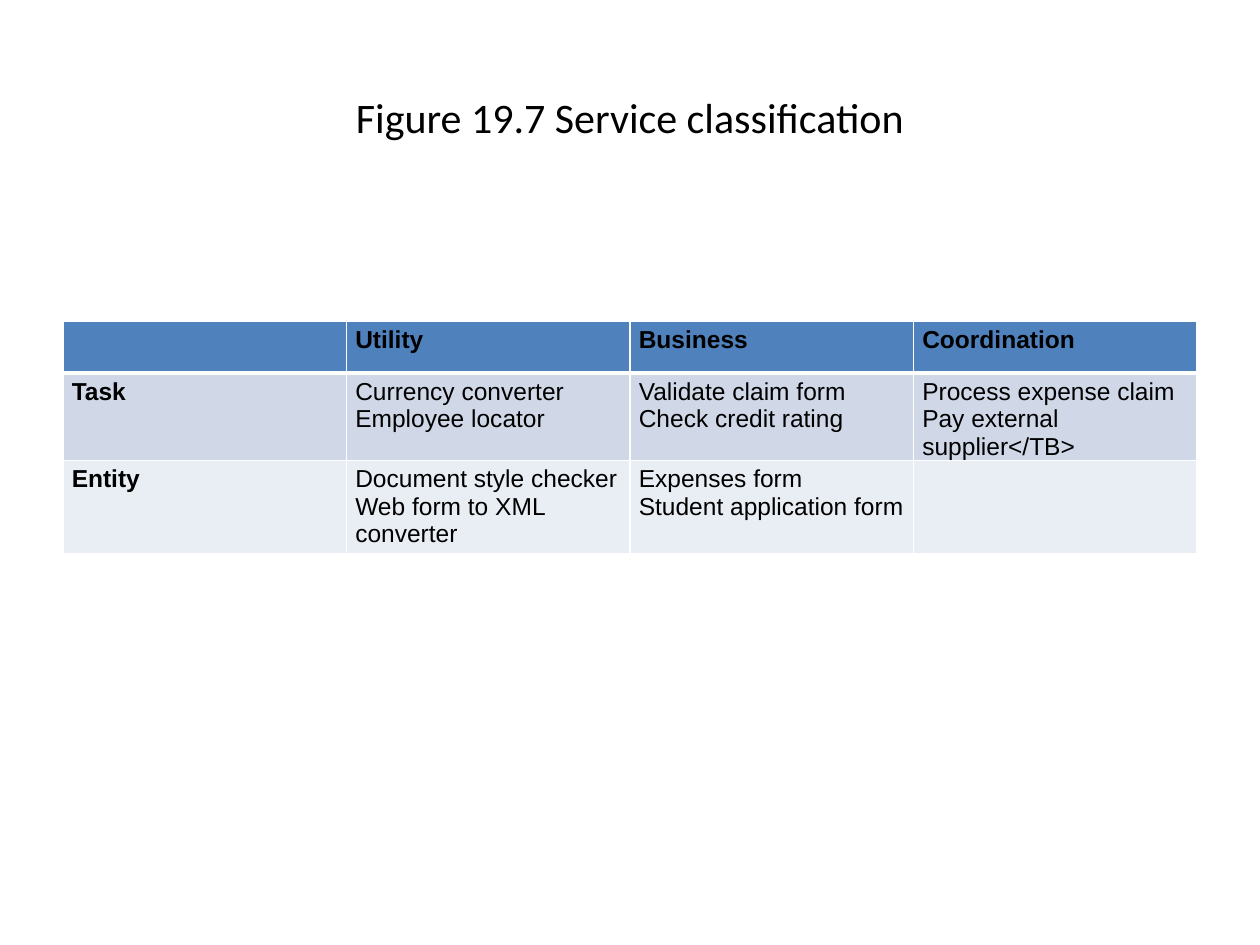
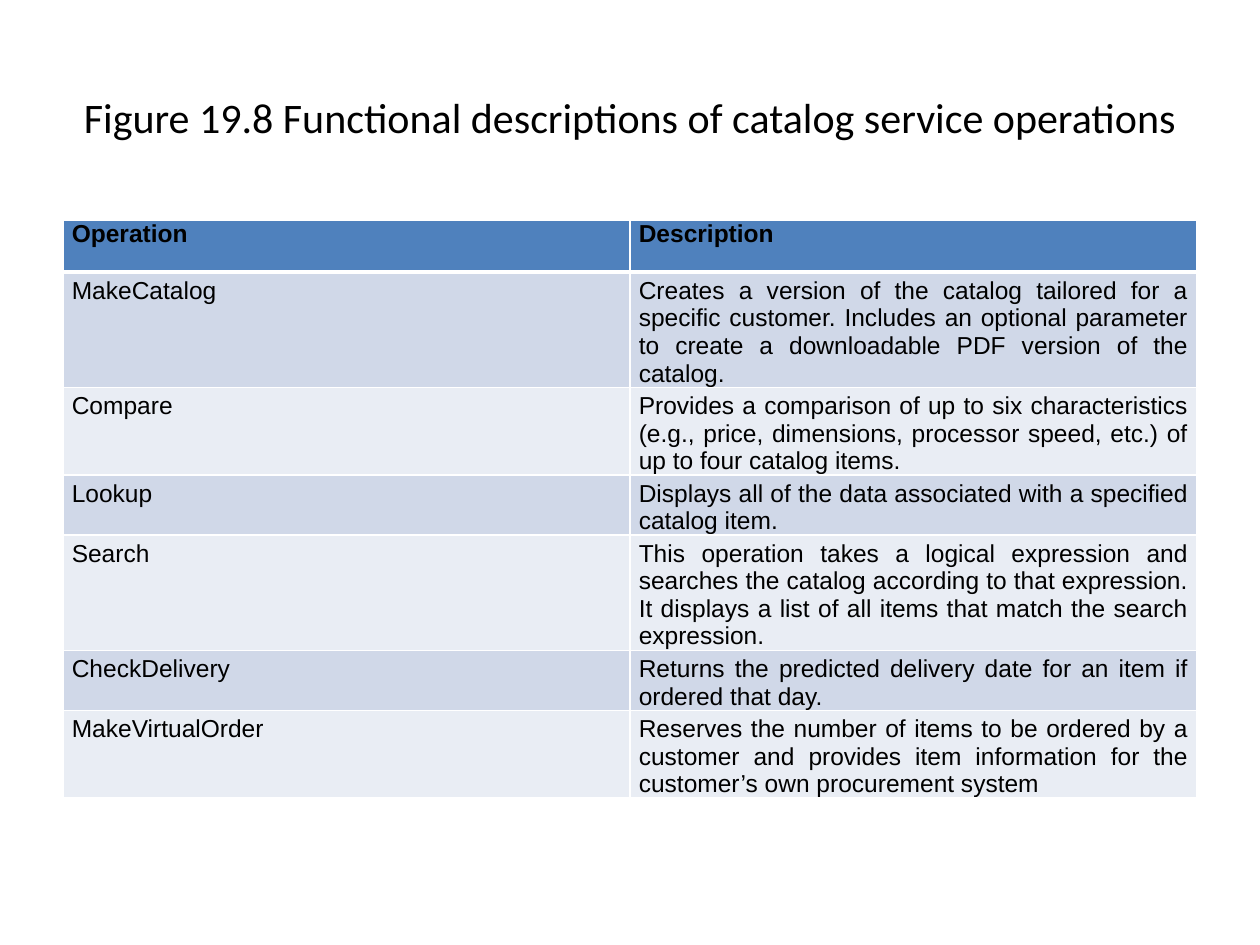
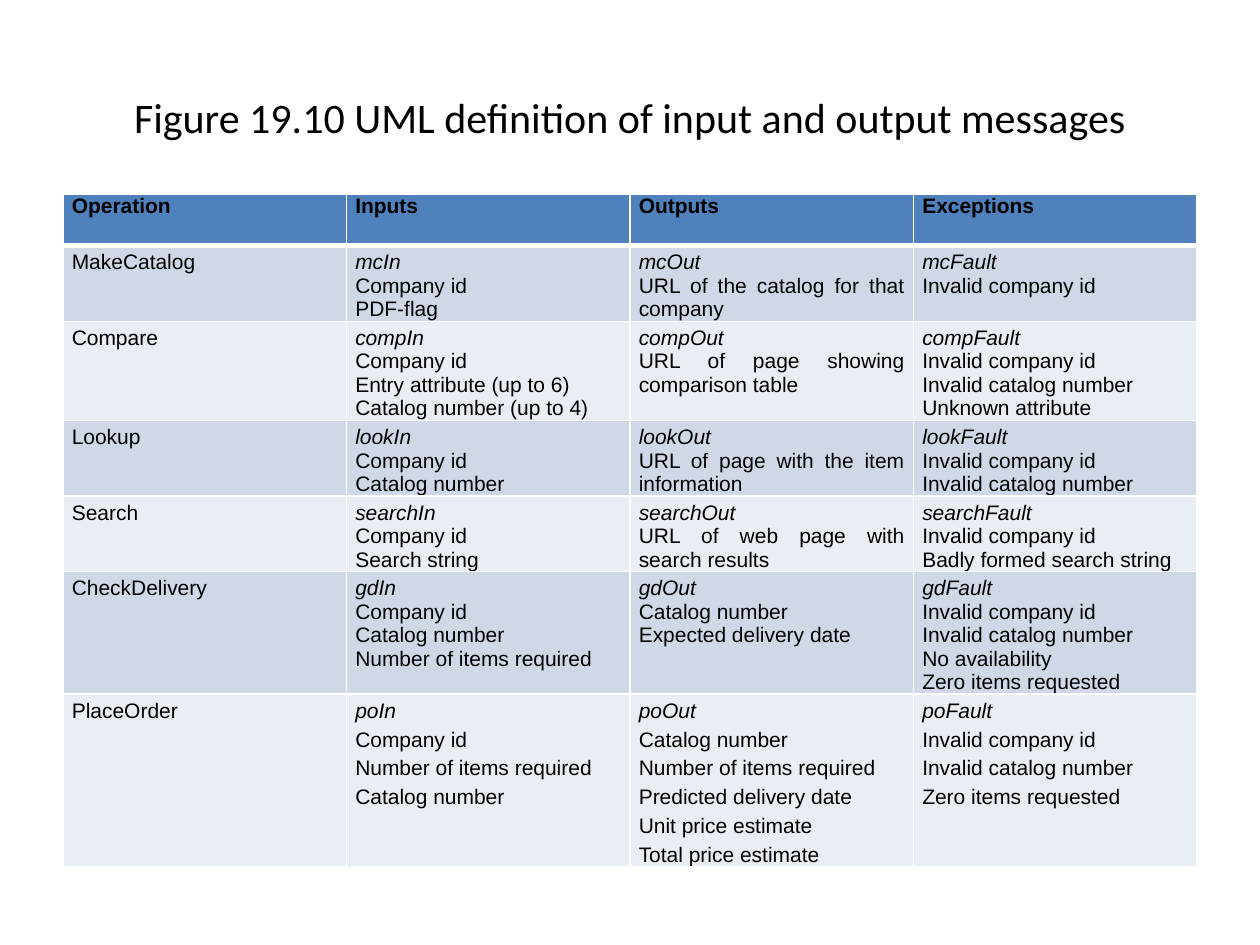
from dataclasses import dataclass

from lxml.etree import SubElement
from pptx import Presentation
from pptx.dml.color import RGBColor
from pptx.enum.text import MSO_ANCHOR, PP_ALIGN
from pptx.oxml.ns import qn
from pptx.util import Inches, Pt


@dataclass(frozen=True)
class Theme:
    text: str = "000000"
    header: str = "4F81BD"
    bands: tuple = ("D0D8E8", "E9EDF4")
    border: str = "FFFFFF"
    title_font: str = "Calibri"
    body_font: str = "Arial"
    title_size: int = 24
    body_size: int = 14
    dense_size: int = 12


THEME = Theme()
LEFT, WIDTH, ROW_HEIGHT = 0.5, 9, 0.41

# Each cell is one string; its lines become paragraphs.
SERVICE_CLASSES = [
    ("", "Utility", "Business", "Coordination"),
    ("Task", "Currency converter\nEmployee locator",
     "Validate claim form\nCheck credit rating",
     "Process expense claim\nPay external supplier</TB>"),
    ("Entity", "Document style checker\nWeb form to XML converter",
     "Expenses form\nStudent application form", ""),
]

CATALOG_OPERATIONS = [
    ("Operation", "Description"),
    ("MakeCatalog",
     "Creates a version of the catalog tailored for a specific customer. "
     "Includes an optional parameter to create a downloadable PDF version "
     "of the catalog."),
    ("Compare",
     "Provides a comparison of up to six characteristics (e.g., price, "
     "dimensions, processor speed, etc.) of up to four catalog items."),
    ("Lookup",
     "Displays all of the data associated with a specified catalog item."),
    ("Search",
     "This operation takes a logical expression and searches the catalog "
     "according to that expression. It displays a list of all items that "
     "match the search expression."),
    ("CheckDelivery",
     "Returns the predicted delivery date for an item if ordered that day."),
    ("MakeVirtualOrder",
     "Reserves the number of items to be ordered by a customer and provides "
     "item information for the customer’s own procurement system"),
]

MESSAGES = [
    ("Operation", "Inputs", "Outputs", "Exceptions"),
    ("MakeCatalog", "mcIn\nCompany id\nPDF-flag",
     "mcOut\nURL of the catalog for that company",
     "mcFault\nInvalid company id"),
    ("Compare",
     "compIn\nCompany id\nEntry attribute (up to 6)\nCatalog number (up to 4)",
     "compOut\nURL of page showing comparison table",
     "compFault\nInvalid company id\nInvalid catalog number\nUnknown attribute"),
    ("Lookup", "lookIn\nCompany id\nCatalog number",
     "lookOut\nURL of page with the item information",
     "lookFault\nInvalid company id\nInvalid catalog number"),
    ("Search", "searchIn\nCompany id\nSearch string",
     "searchOut\nURL of web page with search results",
     "searchFault\nInvalid company id\nBadly formed search string"),
    ("CheckDelivery",
     "gdIn\nCompany id\nCatalog number\nNumber of items required",
     "gdOut\nCatalog number\nExpected delivery date",
     "gdFault\nInvalid company id\nInvalid catalog number\nNo availability\n"
     "Zero items requested"),
    ("PlaceOrder",
     "poIn\nCompany id\nNumber of items required\nCatalog number",
     "poOut\nCatalog number\nNumber of items required\n"
     "Predicted delivery date\nUnit price estimate\nTotal price estimate",
     "poFault\nInvalid company id\nInvalid catalog number\n"
     "Zero items requested"),
]


def set_font(p, name, size, bold=False, italic=False):
    p.font.name, p.font.size = name, Pt(size)
    p.font.bold, p.font.italic = bold, italic
    p.font.color.rgb = RGBColor.from_string(THEME.text)


def add_titled_slide(prs, title):
    slide = prs.slides.add_slide(prs.slide_layouts[5])
    sp = slide.shapes.title
    sp.left, sp.top = Inches(LEFT), Inches(0.3)
    sp.width, sp.height = Inches(WIDTH), Inches(1.25)
    tf = sp.text_frame
    tf.text = title
    tf.vertical_anchor = MSO_ANCHOR.MIDDLE
    p = tf.paragraphs[0]
    p.alignment = PP_ALIGN.CENTER
    set_font(p, THEME.title_font, THEME.title_size)
    return slide


def style_cell(cell, fill, top, bottom, border_below):
    cell.margin_left = cell.margin_right = Inches(0.07)
    cell.margin_top, cell.margin_bottom = Inches(top), Inches(bottom)
    # Borders must precede the fill in the cell properties
    tcPr = cell._tc.get_or_add_tcPr()
    for side, width in (("L", 1), ("R", 1), ("T", 1), ("B", border_below)):
        ln = SubElement(tcPr, qn(f"a:ln{side}"), w=str(Pt(width)))
        color = SubElement(ln, qn("a:solidFill"))
        SubElement(color, qn("a:srgbClr"), val=THEME.border)
    cell.fill.solid()
    cell.fill.fore_color.rgb = RGBColor.from_string(fill)


def add_grid(slide, rows, top, size=THEME.body_size, left_columns=(),
             bold_labels=False, spaced=False, italic_names=False):
    """Add a banded table; spaced tables pad the header and last row."""
    last = len(rows) - 1
    table = slide.shapes.add_table(
        len(rows), len(rows[0]), Inches(LEFT), Inches(top),
        Inches(WIDTH), Inches(ROW_HEIGHT * len(rows))).table
    for i, row in enumerate(rows):
        header = i == 0
        fill = THEME.header if header else THEME.bands[(i - 1) % 2]
        inset_top = 0 if header and spaced else 0.04
        inset_bottom = 0.04 if i == last and not spaced else 0
        for j, text in enumerate(row):
            cell = table.cell(i, j)
            # The line below the header is shared with the first body row
            style_cell(cell, fill, inset_top, inset_bottom, 3 if header else 1)
            if not text:
                continue
            cell.text = text
            for k, p in enumerate(cell.text_frame.paragraphs):
                left = j in left_columns and not header
                p.alignment = PP_ALIGN.LEFT if left else PP_ALIGN.JUSTIFY
                if spaced and header:
                    p.space_before = Pt(3)
                if spaced and (header or i == last):
                    p.space_after = Pt(3)
                set_font(p, THEME.body_font, size,
                         bold=header or (bold_labels and j == 0),
                         italic=italic_names and not header and j > 0 and k == 0)


def main():
    prs = Presentation()
    prs.slide_width, prs.slide_height = Inches(10), Inches(7.5)

    # Service classification
    slide = add_titled_slide(prs, "Figure 19.7 Service classification")
    add_grid(slide, SERVICE_CLASSES, 2.55, left_columns=(1, 2, 3),
             bold_labels=True)

    # Catalog service operations
    slide = add_titled_slide(
        prs, "Figure 19.8 Functional descriptions of catalog service operations")
    add_grid(slide, CATALOG_OPERATIONS, 1.75, spaced=True)

    # Input and output messages
    slide = add_titled_slide(
        prs, "Figure 19.10 UML definition of input and output messages")
    add_grid(slide, MESSAGES, 1.54, size=THEME.dense_size, left_columns=(1,),
             spaced=True, italic_names=True)

    prs.save("out.pptx")


main()
